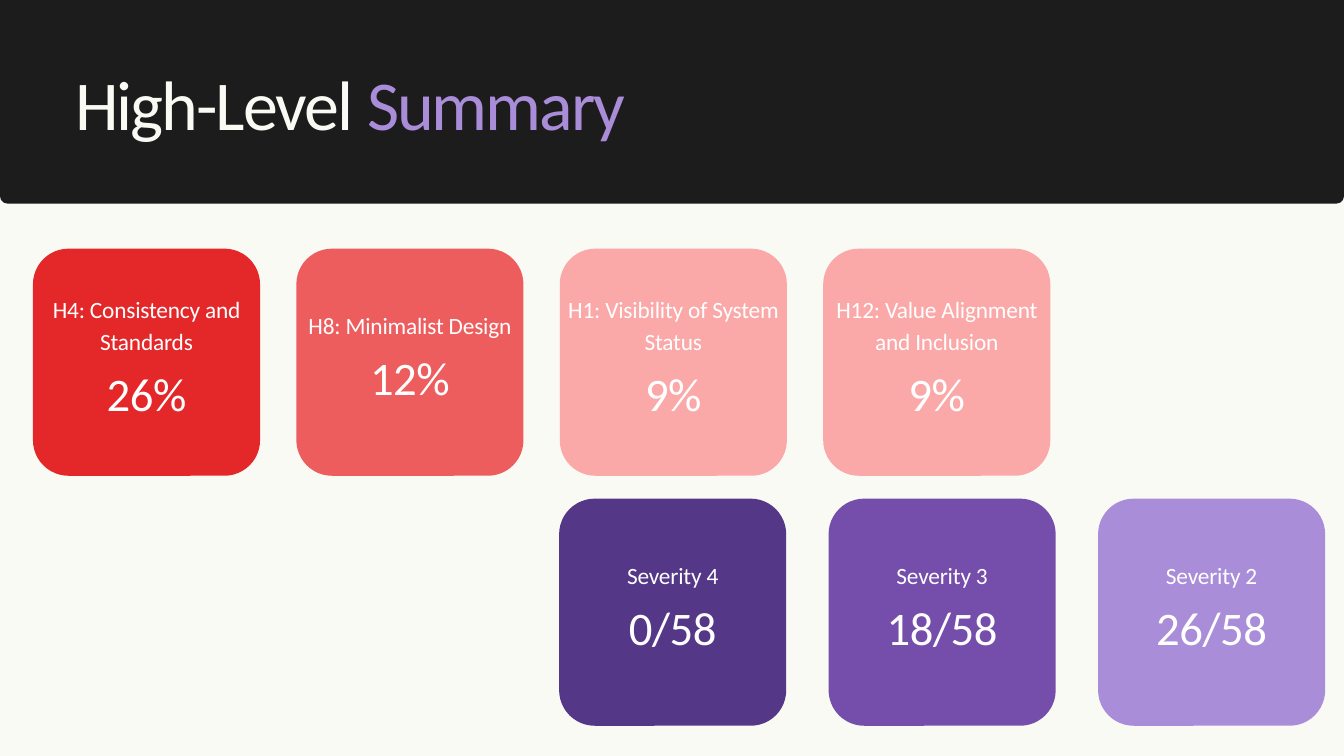
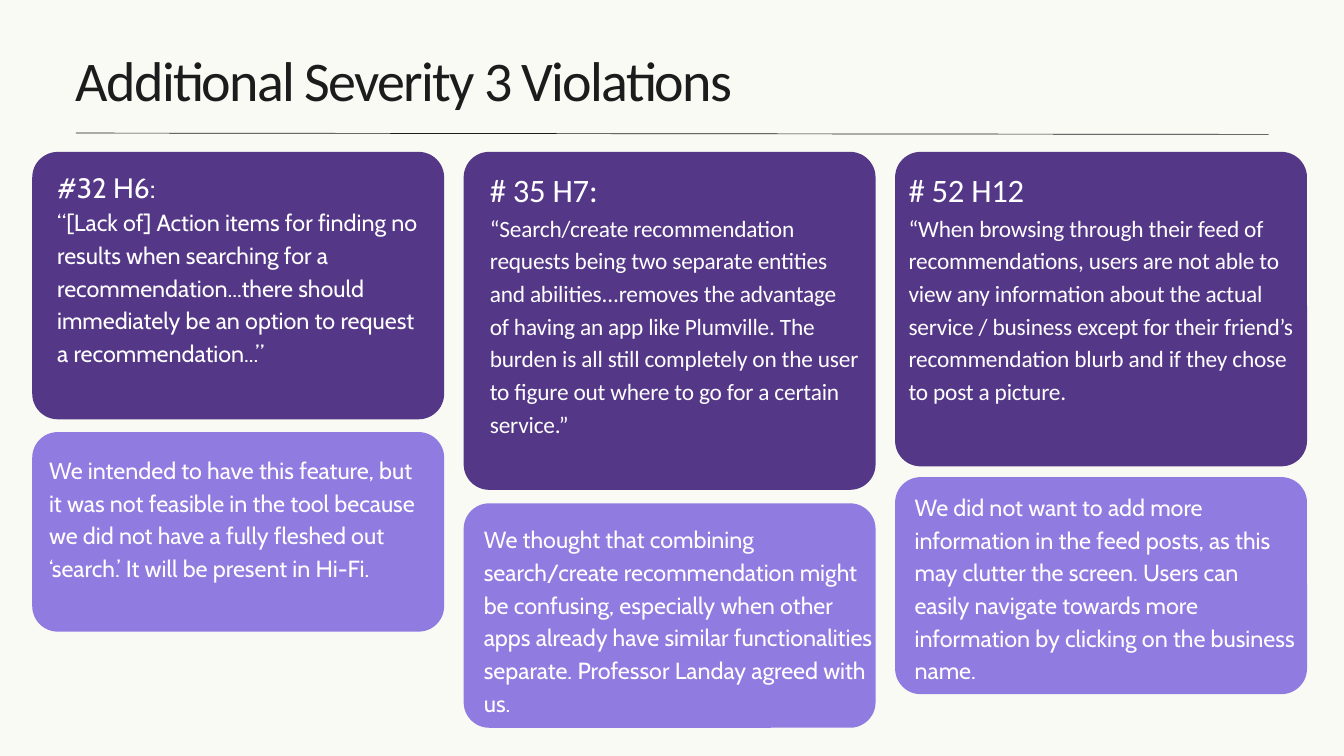
from dataclasses import dataclass

from lxml import etree
from pptx import Presentation
from pptx.dml.color import RGBColor
from pptx.enum.shapes import MSO_CONNECTOR as Connector, MSO_SHAPE as Shape
from pptx.enum.text import MSO_ANCHOR as Anchor, MSO_AUTO_SIZE as AutoSize, PP_ALIGN as Align
from pptx.oxml.ns import qn
from pptx.util import Inches, Pt


@dataclass(frozen=True)
class Theme:
    paper: str = "F9FAF4"
    ink: str = "1C1C1D"
    white: str = "FFFFFF"
    red: str = "E42728"
    coral: str = "ED5D5E"
    pink: str = "FAA8A8"
    deep_purple: str = "553788"
    purple: str = "744EAA"
    lilac: str = "AA8DD8"
    periwinkle: str = "907CE1"
    sans: str = "Calibri"
    rounded_sans: str = "Cabin"
    hero_size: float = 75
    title_size: float = 60
    figure_size: float = 50
    heading_size: float = 35
    small_heading_size: float = 30
    body_size: float = 25


@dataclass(frozen=True)
class Line:
    text: str
    size: float
    leading: float
    font: str
    tracking: float = 0


class SlideBuilder:
    def __init__(self, theme):
        self.theme = theme
        self.deck = Presentation()
        self.deck.slide_width = Inches(20)
        self.deck.slide_height = Inches(11.25)
        self.paint(self.deck.slide_master.background.fill, theme.paper)
        self.page = None

    def paint(self, fill, color):
        fill.solid()
        fill.fore_color.rgb = RGBColor.from_string(color)

    def place(self, item, left, top, width, height):
        item.left, item.top = Inches(left), Inches(top)
        item.width, item.height = Inches(width), Inches(height)

    def add_page(self):
        self.page = self.deck.slides.add_slide(self.deck.slide_layouts[5])

    def frame(self, item, inset=0, anchor=Anchor.TOP):
        frame = item.text_frame
        frame.word_wrap = True
        frame.auto_size = AutoSize.NONE
        frame.vertical_anchor = anchor
        frame.margin_left = frame.margin_right = Inches(inset)
        frame.margin_top = frame.margin_bottom = Inches(inset)
        return frame

    def format(self, para, size, leading, font, tracking, align=Align.LEFT):
        para.alignment = align
        para.line_spacing = Pt(leading)
        para.space_before = Pt(0)
        para.font.size = Pt(size)
        para.font.name = font
        if tracking:
            para.font._element.set("spc", str(round(tracking * 100)))

    def title(self, parts, place, size, leading, tracking):
        title = self.page.shapes.title
        self.place(title, *place)
        para = self.frame(title).paragraphs[0]
        self.format(para, size, leading, self.theme.sans, tracking)
        for text, color in parts:
            span = para.add_run()
            span.text = text
            span.font.color.rgb = RGBColor.from_string(color)

    def shape(self, kind, place, color):
        shape = self.page.shapes.add_shape(kind, *map(Inches, place))
        shape.shadow.inherit = False
        self.paint(shape.fill, color)
        shape.line.fill.background()
        return shape

    def band(self, height, radius):
        band = self.shape(Shape.ROUND_2_SAME_RECTANGLE, (0, 0, 20, height), self.theme.ink)
        band.adjustments[0] = 0
        band.adjustments[1] = radius / height
        self.page.shapes.title.element.addprevious(band.element)

    def card(self, place, color, radius):
        card = self.shape(Shape.ROUNDED_RECTANGLE, place, color)
        card.adjustments[0] = radius / min(place[2:])

    def text(self, lines, place, align=Align.LEFT, inset=0, anchor=Anchor.TOP):
        box = self.page.shapes.add_textbox(*map(Inches, place))
        frame = self.frame(box, inset, anchor)
        for index, line in enumerate(lines):
            para = frame.add_paragraph() if index else frame.paragraphs[0]
            para.text = line.text
            self.format(para, line.size, line.leading, line.font, line.tracking, align)
            para.font.color.rgb = RGBColor.from_string(self.theme.white)

    def rule(self, start, end):
        rule = self.page.shapes.add_connector(Connector.STRAIGHT, *map(Inches, start + end))
        rule.line.color.rgb = RGBColor.from_string(self.theme.ink)
        rule.line.width = Pt(0.75)
        etree.SubElement(rule.element.spPr, qn("a:effectLst"))

    def tile(self, left, top, label, figure, color):
        side, rise = 3.38, 0.2
        theme = self.theme
        self.card((left, top, side, side), color, 0.53)
        lines = [
            Line(label, theme.body_size, 35, theme.sans, -0.2),
            Line(figure, theme.figure_size, 70, theme.sans, -0.5),
        ]
        self.text(lines, (left, top - rise, side, side + rise), Align.CENTER, 0.06, Anchor.MIDDLE)


def build_summary(builder):
    theme = builder.theme
    builder.add_page()
    builder.band(3.03, 0.11)
    builder.title(
        [("High-Level ", theme.paper), ("Summary", theme.lilac)],
        (1.12, 0.85, 12.86, 1.29), theme.hero_size, 93.8, -2.2,
    )
    heuristics = [
        ("H4: Consistency and Standards", "26%", theme.red),
        ("H8: Minimalist Design", "12%", theme.coral),
        ("H1: Visibility of System Status", "9%", theme.pink),
        ("H12: Value Alignment and Inclusion", "9%", theme.pink),
    ]
    severities = [
        ("Severity 4", "0/58", theme.deep_purple),
        ("Severity 3", "18/58", theme.purple),
        ("Severity 2", "26/58", theme.lilac),
    ]
    for tiles, left, top, step in ((heuristics, 0.49, 3.7, 3.92), (severities, 8.32, 7.42, 4.01)):
        for index, tile in enumerate(tiles):
            builder.tile(left + index * step, top, *tile)


def build_violations(builder):
    theme = builder.theme
    builder.add_page()
    builder.title(
        [("Additional Severity 3 Violations", theme.ink)],
        (1.13, 0.8, 17.75, 0.91), theme.title_size, 63.6, -1.8,
    )
    builder.rule((1.13, 1.98), (18.88, 2))

    def cabin(text, size=theme.body_size, leading=35):
        return Line(text, size, leading, theme.rounded_sans)

    def calibri(text, size=theme.body_size, leading=35):
        return Line(text, size, leading, theme.sans, -0.3 if size > theme.body_size else -0.2)

    violations = [
        (
            3.98, (0.85, 2.45, 5.45, 3.6),
            [
                cabin("#32 H6:", theme.small_heading_size, 42),
                cabin(
                    "“[Lack of] Action items for finding no results when searching for a "
                    "recommendation...there should immediately be an option to request a "
                    "recommendation...”"
                ),
            ],
            6.43, 2.97, (0.73, 6.72, 5.45, 2.38),
            "We intended to have this feature, but it was not feasible in the tool because we did "
            "not have a fully fleshed out ‘search.’ It will be present in Hi-Fi.",
        ),
        (
            5.03, (7.29, 2.43, 5.5, 4.51),
            [
                calibri("# 35 H7:", theme.heading_size, 49),
                calibri(
                    "“Search/create recommendation requests being two separate entities and "
                    "abilities...removes the advantage of having an app like Plumville. The "
                    "burden is all still completely on the user to figure out where to go for a "
                    "certain service.”"
                ),
            ],
            7.49, 3.34, (7.2, 7.75, 5.79, 2.86),
            "We thought that combining search/create recommendation might be confusing, "
            "especially when other apps already have similar functionalities separate. "
            "Professor Landay agreed with us.",
        ),
        (
            4.68, (13.52, 2.43, 5.92, 4.4),
            [
                calibri("# 52 H12", theme.heading_size, 49),
                calibri(
                    "“When browsing through their feed of recommendations, users are not able "
                    "to view any information about the actual service / business except for "
                    "their friend’s recommendation blurb and if they chose to post a picture."
                ),
            ],
            7.1, 3.23, (13.61, 7.27, 5.68, 2.86),
            "We did not want to add more information in the feed posts, as this may clutter the "
            "screen. Users can easily navigate towards more information by clicking on the "
            "business name.",
        ),
    ]
    for index, violation in enumerate(violations):
        height, quote_place, quote, reply_top, reply_height, reply_place, reply = violation
        left, width, radius = 0.48 + index * 6.42, 6.13, 0.38
        builder.card((left, 2.26, width, height), theme.deep_purple, radius)
        builder.card((left, reply_top, width, reply_height), theme.periwinkle, radius)
        builder.text(quote, quote_place)
        builder.text([cabin(reply)], reply_place)


def main():
    builder = SlideBuilder(Theme())
    build_summary(builder)
    build_violations(builder)
    builder.deck.save("out.pptx")


if __name__ == "__main__":
    main()
